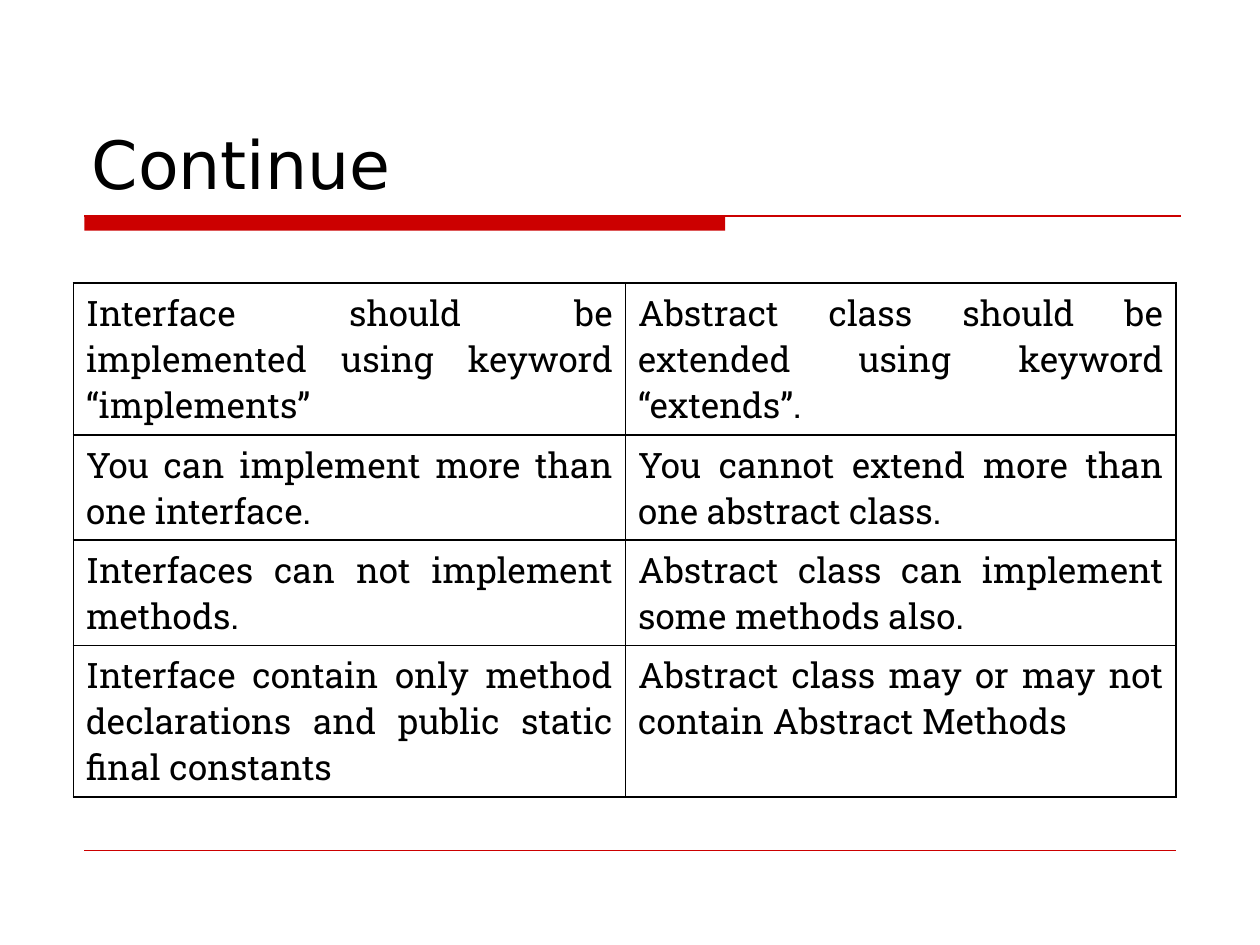
from lxml.etree import SubElement
from pptx import Presentation
from pptx.dml.color import RGBColor
from pptx.enum.shapes import MSO_CONNECTOR, MSO_SHAPE
from pptx.enum.text import MSO_ANCHOR, PP_ALIGN
from pptx.oxml.ns import qn
from pptx.util import Cm, Pt

COLORS = {"text": "000000", "accent": "CC0000", "border": "000000"}
ROWS = [
    ("Interface should be implemented using keyword “implements”",
     "Abstract class should be extended using keyword “extends”."),
    ("You can implement more than one interface.",
     "You cannot extend more than one abstract class."),
    ("Interfaces can not implement methods.",
     "Abstract class can implement some methods also."),
    ("Interface contain only method declarations and public static final constants",
     "Abstract class may or may not contain Abstract Methods"),
]


class SlideBuilder:
    title_font, title_size = "DejaVu Sans", 38
    body_font, body_size = "Roboto Slab", 20
    outer, inner = 1.08, 0.45

    def __init__(self, slide):
        self.s = slide

    def color(self, name):
        return RGBColor.from_string(COLORS[name])

    def run(self, p, text, font, size):
        r = p.add_run()
        r.text = text
        r.font.name = font
        r.font.size = Pt(size)
        r.font.color.rgb = self.color("text")

    def title(self, text, x, y, w, h):
        tf = self.s.shapes.add_textbox(Cm(x), Cm(y), Cm(w), Cm(h)).text_frame
        tf.word_wrap = True
        tf.vertical_anchor = MSO_ANCHOR.BOTTOM
        self.run(tf.paragraphs[0], text, self.title_font, self.title_size)

    def bar(self, x, y, w, h):
        sp = self.s.shapes.add_shape(MSO_SHAPE.RECTANGLE, Cm(x), Cm(y), Cm(w), Cm(h))
        sp.shadow.inherit = False
        sp.fill.solid()
        sp.fill.fore_color.rgb = self.color("accent")
        sp.line.fill.background()

    def rule(self, x1, x2, y, width):
        ln = self.s.shapes.add_connector(MSO_CONNECTOR.STRAIGHT, Cm(x1), Cm(y), Cm(x2), Cm(y))
        ln.line.color.rgb = self.color("accent")
        ln.line.width = Pt(width)
        SubElement(ln._element.spPr, qn("a:effectLst"))

    def borders(self, cell, widths):
        tc_pr = cell._tc.get_or_add_tcPr()
        for side, width in widths.items():
            ln = SubElement(tc_pr, qn(f"a:ln{side}"), w=str(int(Pt(width))))
            fill = SubElement(ln, qn("a:solidFill"))
            SubElement(fill, qn("a:srgbClr"), val=COLORS["border"])

    def table(self, rows, x, y, col_widths, row_heights):
        tbl = self.s.shapes.add_table(len(rows), len(col_widths), Cm(x), Cm(y),
                                      Cm(sum(col_widths)), Cm(sum(row_heights))).table
        tbl.first_row = tbl.horz_banding = False
        for col, width in zip(tbl.columns, col_widths):
            col.width = Cm(width)
        for row, height, texts in zip(tbl.rows, row_heights, rows):
            row.height = Cm(height)
            for i, (cell, text) in enumerate(zip(row.cells, texts)):
                p = cell.text_frame.paragraphs[0]
                p.alignment = PP_ALIGN.JUSTIFY
                p.space_before = Pt(5)
                self.run(p, text, self.body_font, self.body_size)
                # Borders come before the fill in the cell properties
                self.borders(cell, {"L": self.inner if i else self.outer,
                                    "R": self.outer if i else self.inner,
                                    "T": self.outer, "B": self.outer})
                cell.fill.background()


def main():
    prs = Presentation()
    prs.slide_width, prs.slide_height = Cm(25.4), Cm(19.05)
    b = SlideBuilder(prs.slides.add_slide(prs.slide_layouts[6]))

    # Title underline and footer rule
    b.bar(1.7, 4.34, 12.92, 0.31)
    b.rule(1.7, 23.8, 4.36, 1)
    b.rule(1.7, 23.7, 17.14, 0.25)

    # Title
    b.title("Continue", 1.6, 0.84, 22.23, 3.38)

    # Comparison of interfaces and abstract classes
    tall, short = 3.06, 2.12
    b.table(ROWS, 1.48, 5.71, [11.13, 11.1], [tall, short, short, tall])

    prs.save("out.pptx")


if __name__ == "__main__":
    main()
